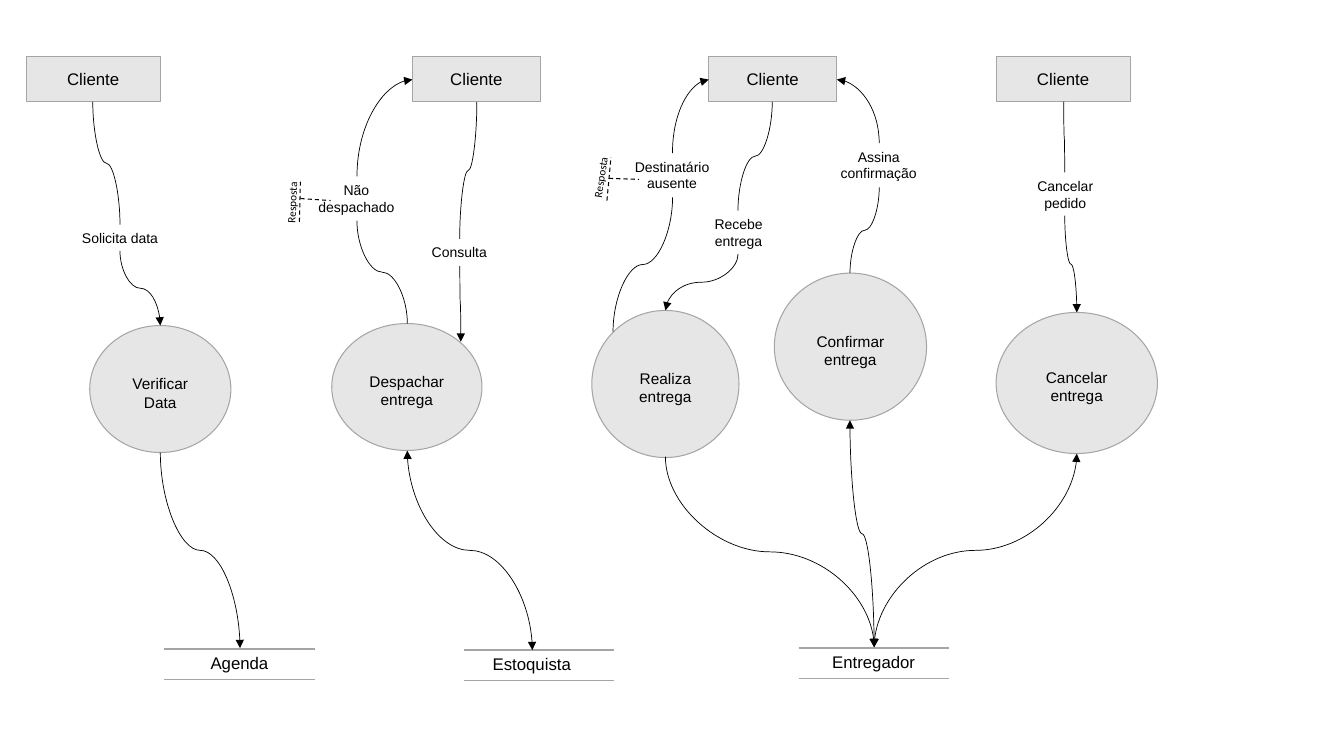
from lxml.etree import SubElement
from pptx import Presentation
from pptx.dml.color import RGBColor
from pptx.enum.dml import MSO_LINE
from pptx.enum.shapes import MSO_CONNECTOR, MSO_SHAPE
from pptx.enum.text import MSO_ANCHOR, MSO_AUTO_SIZE, PP_ALIGN
from pptx.oxml.ns import qn
from pptx.util import Emu, Pt

SCALE = 9144  # EMU per px, 100 px to the inch
BLACK = RGBColor(0, 0, 0)
GREY = RGBColor(0xA5, 0xA5, 0xA5)
PALE = RGBColor(0xE7, 0xE6, 0xE6)


def px(*nums):
    return [Emu(round(n * SCALE)) for n in nums]


class Board:
    """Style and current slide of the data flow chart."""
    font = "Arial"

    def __init__(self, slide):
        self.shapes = slide.shapes

    def letter(self, shape, text, size, font=None):
        frame = shape.text_frame
        frame.text = text
        frame.word_wrap = True
        para = frame.paragraphs[0]
        para.alignment = PP_ALIGN.CENTER
        style = para.runs[0].font
        style.name = font or self.font
        style.size = Pt(size)
        style.color.rgb = BLACK
        return frame

    def block(self, kind, box, text, size):
        shape = self.shapes.add_shape(kind, *px(*box))
        shape.shadow.inherit = False
        shape.fill.solid()
        shape.fill.fore_color.rgb = PALE
        shape.line.color.rgb = GREY
        shape.line.width = Pt(0.75)
        frame = self.letter(shape, text, size)
        frame.vertical_anchor = MSO_ANCHOR.MIDDLE
        return frame

    def client(self, left, width):
        self.block(MSO_SHAPE.RECTANGLE, (left, 56, width, 45), "Cliente", 12)

    def process(self, text, *box):
        frame = self.block(MSO_SHAPE.OVAL, box, text, 11)
        frame.margin_top, = px(12)
        frame.paragraphs[0].space_before = Pt(2)

    def label(self, text, box, size=10, font=None, turn=0):
        shape = self.shapes.add_textbox(*px(*box))
        shape.rotation = turn
        frame = self.letter(shape, text, size, font)
        frame.auto_size = MSO_AUTO_SIZE.SHAPE_TO_FIT_TEXT

    def line(self, ends, color, width, kind=MSO_CONNECTOR.STRAIGHT):
        line = self.shapes.add_connector(kind, *px(*ends))
        line.line.color.rgb = color
        line.line.width = Pt(width)
        SubElement(line._element.spPr, qn("a:effectLst"))
        return line

    def dash(self, *ends):
        self.line(ends, BLACK, 0.75).line.dash_style = MSO_LINE.DASH

    def store(self, text, left, top, shift=0):
        for y in (top, top + 30):
            self.line((left, y, left + 149, y), GREY, 1)
        self.label(text, (left + shift, top - 1, 149, 30), 12)

    def curve(self, x1, y1, x2, y2, tips="", bend=False):
        # Leaves vertically: lay it out sideways, then turn by a quarter
        turn = 1 if (x2 - x1) * (y2 - y1) < 0 else -1
        midx, midy = (x1 + x2) / 2, (y1 + y2) / 2
        ends = []
        for x, y in ((x1, y1), (x2, y2)):
            ends += [midx + turn * (y - midy), midy - turn * (x - midx)]
        line = self.line(ends, BLACK, 0.5, MSO_CONNECTOR.CURVE)
        prop = line._element.spPr
        prop.find(qn("a:xfrm")).set("rot", str(turn * 90 % 360 * 60000))
        if bend:
            prop.find(qn("a:prstGeom")).set("prst", "curvedConnector2")
        for tip in tips.split():
            SubElement(prop.find(qn("a:ln")), qn("a:" + tip), type="triangle")


def main():
    deck = Presentation()
    deck.slide_width, deck.slide_height = px(1333, 750)
    board = Board(deck.slides.add_slide(deck.slide_layouts[6]))
    tail, both = "tailEnd", "headEnd tailEnd"

    # Clients
    for left, width in ((26, 133), (409, 127), (703, 127), (988, 133)):
        board.client(left, width)

    # Processes
    board.process("Verificar Data", 89, 323, 140, 126)
    board.process("Despachar entrega", 329, 321, 149, 126)
    board.process("Realiza entrega", 587, 308, 146, 146)
    board.process("Confirmar entrega", 768, 271, 151, 146)
    board.process("Cancelar entrega", 988, 310, 160, 140)

    # Data stores
    board.store("Agenda", 163, 644)
    board.store("Estoquista", 460, 645, -7)
    board.store("Entregador", 792, 643)

    # Flow labels
    board.label("Solicita data", (44, 223, 150, 27))
    board.label("Consulta", (400, 237, 111, 27))
    for text, left, top in (
            ("Não despachado", 298, 175), ("Destinatário ausente", 611, 152),
            ("Recebe entrega", 677, 209), ("Assina confirmação", 816, 142),
            ("Cancelar pedido", 1001, 171)):
        board.label(text, (left, top, 111, 44))

    # Flows between clients, labels and processes
    for flow in (
            (119, 223, 92, 101), (119, 249, 159, 323, tail),
            (404, 321, 354, 219), (354, 175, 409, 79, tail, True),
            (456, 237, 473, 101), (456, 264, 457, 339, tail),
            (608, 329, 667, 196), (667, 152, 703, 79, tail, True),
            (732, 209, 766, 101), (732, 252, 660, 308, tail),
            (843, 271, 872, 186), (872, 142, 830, 79, tail, True),
            (1056, 171, 1055, 101), (1056, 214, 1068, 310, tail)):
        board.curve(*flow)

    # Flows between processes and stores
    for flow in (
            (159, 449, 238, 643, tail), (404, 447, 528, 645, both),
            (660, 453, 867, 642, tail), (843, 417, 867, 642, both),
            (1068, 450, 867, 642, both)):
        board.curve(*flow)

    # Reply notes
    board.dash(297, 220, 298, 178)
    board.dash(298, 197, 328, 199)
    board.label("Resposta", (258, 189, 64, 24), 8, "Calibri", 272.6)
    board.dash(602, 199, 606, 156)
    board.dash(604, 177, 634, 178)
    board.label("Resposta", (564, 164, 64, 24), 8, "Calibri", 278.7)

    deck.save("out.pptx")


if __name__ == "__main__":
    main()
